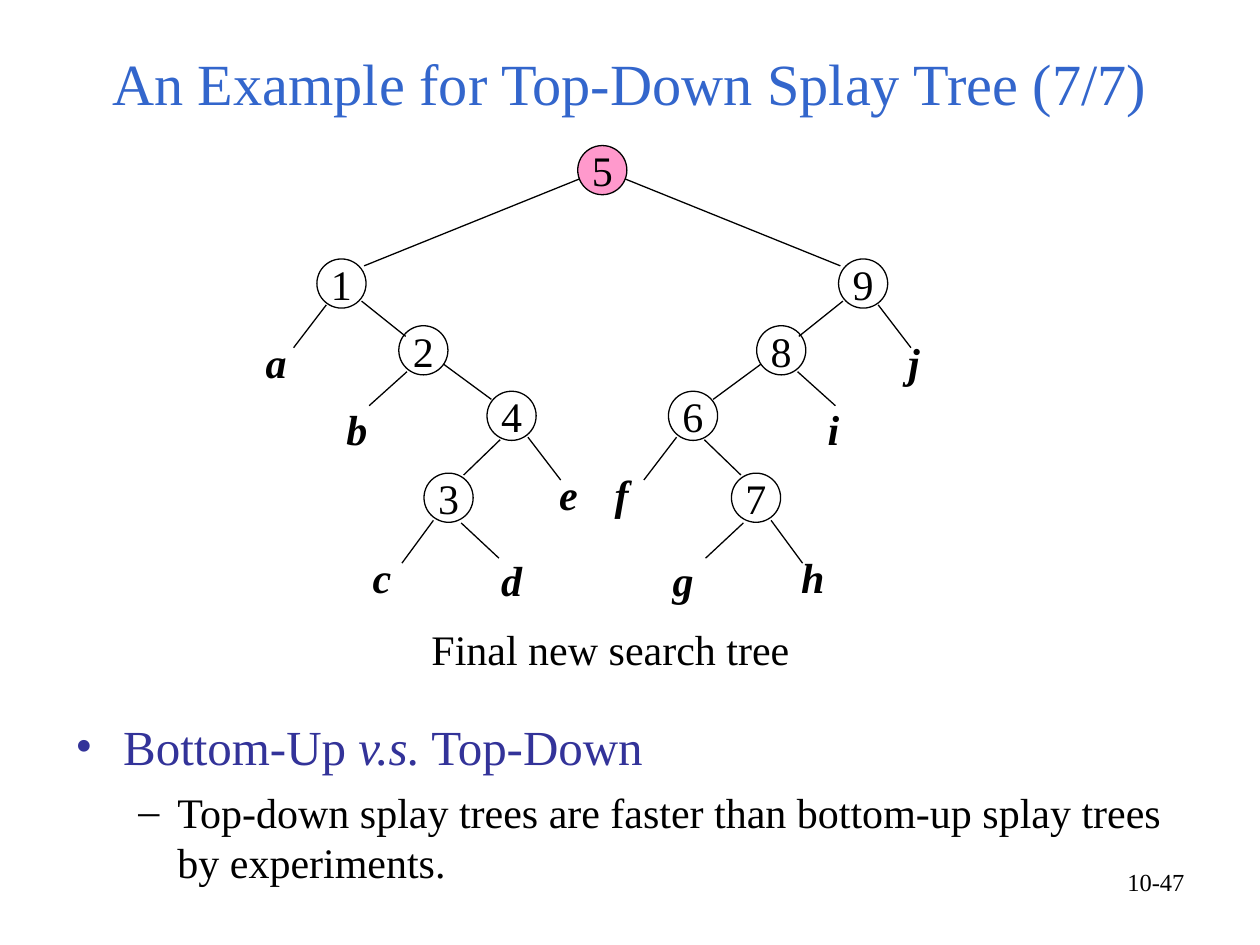
import pptx
import pptx.util
import pptx.dml.color
import pptx.enum.shapes
import pptx.enum.text
import pptx.oxml.ns
from lxml import etree
from pptx.util import Inches

COLORS = {"title": "3366CC", "heading": "333399", "ink": "000000", "root": "FF99CC", "paper": "FFFFFF"}
ALIGN = pptx.enum.text.PP_ALIGN
ANCHOR = pptx.enum.text.MSO_ANCHOR


def rgb(name):
    return pptx.dml.color.RGBColor.from_string(COLORS[name])


def add_child(parent, tag, **attributes):
    return etree.SubElement(parent, pptx.oxml.ns.qn(tag), attributes)


class TreeSlide:
    font = "Times New Roman"
    line_width = pptx.util.Pt(0.74)
    node_size = 0.39
    label_size = (0.44, 0.5)

    def __init__(self, slide):
        self.slide = slide
        slide.background.fill.solid()
        slide.background.fill.fore_color.rgb = rgb("paper")

    def style(self, paragraph, size, color="ink", bold=False, italic=False):
        for run in paragraph.runs:
            run.font.name = self.font
            run.font.size = pptx.util.Pt(size)
            run.font.bold = bold
            run.font.italic = italic
            run.font.color.rgb = rgb(color)

    def box(self, left, top, width, height):
        frame = self.slide.shapes.add_textbox(*map(Inches, (left, top, width, height))).text_frame
        frame.word_wrap = True
        return frame

    def text(self, words, at, size=24, align=ALIGN.LEFT, before=0, anchor=ANCHOR.TOP, **look):
        frame = self.box(*at)
        frame.text = words
        frame.vertical_anchor = anchor
        paragraph = frame.paragraphs[0]
        paragraph.alignment = align
        paragraph.space_before = pptx.util.Pt(before)
        self.style(paragraph, size, **look)
        return paragraph

    def node(self, key, x, y, fill=None):
        size = self.node_size
        circle = self.slide.shapes.add_shape(
            pptx.enum.shapes.MSO_SHAPE.OVAL,
            Inches(x - size / 2), Inches(y - size / 2), Inches(size), Inches(size))
        circle.shadow.inherit = False
        if fill:
            circle.fill.solid()
            circle.fill.fore_color.rgb = rgb(fill)
        else:
            circle.fill.background()
        circle.line.color.rgb = rgb("ink")
        circle.line.width = self.line_width
        frame = circle.text_frame
        frame.text = key
        frame.word_wrap = False
        frame.vertical_anchor = ANCHOR.MIDDLE
        frame.paragraphs[0].alignment = ALIGN.CENTER
        self.style(frame.paragraphs[0], 24)

    def edge(self, x1, y1, x2, y2):
        branch = self.slide.shapes.add_connector(
            pptx.enum.shapes.MSO_CONNECTOR.STRAIGHT, *map(Inches, (x1, y1, x2, y2)))
        branch.line.color.rgb = rgb("ink")
        branch.line.width = self.line_width
        add_child(branch.element.spPr, "a:effectLst")

    def subtree(self, letter, x, y):
        width, height = self.label_size
        self.text(letter, (x - width / 2, y, width, height), before=15, bold=True, italic=True)

    def bullet(self, paragraph, mark, color, indent, hanging, before):
        paragraph.space_before = pptx.util.Pt(before)
        properties = paragraph._p.get_or_add_pPr()
        properties.set("marL", str(Inches(indent)))
        properties.set("indent", str(-Inches(hanging)))
        add_child(add_child(properties, "a:buClr"), "a:srgbClr", val=COLORS[color])
        add_child(properties, "a:buFont", typeface=self.font)
        add_child(properties, "a:buChar", char=mark)


deck = pptx.Presentation()
deck.slide_width, deck.slide_height = Inches(10), Inches(7.5)
page = TreeSlide(deck.slides.add_slide(deck.slide_layouts[6]))

# Tree: the right half mirrors the left half about AXIS
AXIS = 4.78
NODES = [("1", "9", 2.71, 2.25), ("2", "8", 3.36, 2.78),
         ("4", "6", 4.06, 3.3), ("3", "7", 3.56, 3.95)]
EDGES = [(4.6, 1.42, 2.89, 2.11), (2.87, 2.39, 3.22, 2.67), (3.52, 2.89, 3.9, 3.17),
         (3.97, 3.49, 3.68, 3.77), (2.59, 2.42, 2.33, 2.76), (3.23, 2.95, 2.93, 3.22),
         (4.19, 3.47, 4.45, 3.81), (3.44, 4.13, 3.19, 4.47), (3.66, 4.15, 3.96, 4.43)]
SUBTREES = [("a", "j", 2.23, 2.62), ("b", "i", 2.87, 3.15), ("e", "f", 4.56, 3.67),
            ("c", "h", 3.08, 4.33), ("d", "g", 4.1, 4.35)]


def mirror(x):
    return 2 * AXIS - x


page.node("5", AXIS, 1.35, fill="root")
for left_key, right_key, x, y in NODES:
    page.node(left_key, x, y)
    page.node(right_key, mirror(x), y)
for x1, y1, x2, y2 in EDGES:
    page.edge(x1, y1, x2, y2)
    page.edge(mirror(x1), y1, mirror(x2), y2)
for left_letter, right_letter, x, y in SUBTREES:
    page.subtree(left_letter, x, y)
    page.subtree(right_letter, mirror(x), y)
page.text("Final new search tree", (3.19, 4.9, 3.31, 0.5), align=ALIGN.CENTER, before=15)

# Title
title = page.text("An Example for Top-Down Splay Tree (7/7)", (0.5, 0.3, 9, 0.77), size=33.3,
                  align=ALIGN.CENTER, anchor=ANCHOR.MIDDLE, color="title")
title.line_spacing = 0.9

# Comparison
comparison = page.box(0.5, 5.64, 9, 1.49)
heading = comparison.paragraphs[0]
for words in ("Bottom-Up ", "v.s.", " Top-Down"):
    heading.add_run().text = words
page.style(heading, 28, "heading")
heading.runs[1].font.italic = True
page.bullet(heading, "•", "heading", 0.38, 0.38, 7)
finding = comparison.add_paragraph()
finding.text = "Top-down splay trees are faster than bottom-up splay trees by experiments."
finding.level = 1
page.style(finding, 24)
page.bullet(finding, "–", "ink", 0.81, 0.31, 6)

# Page number
page.text("10-47", (7.17, 6.83, 2.33, 0.52), size=14, align=ALIGN.RIGHT)

deck.save("out.pptx")
